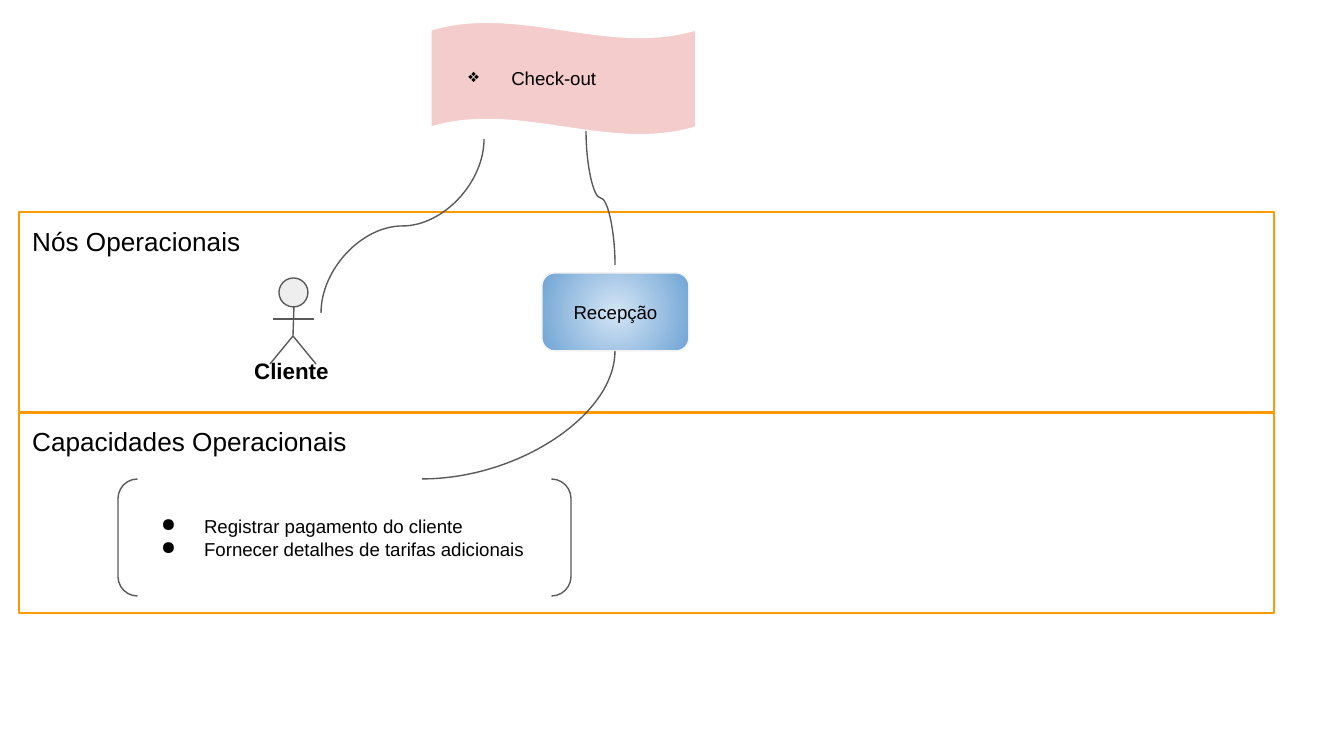
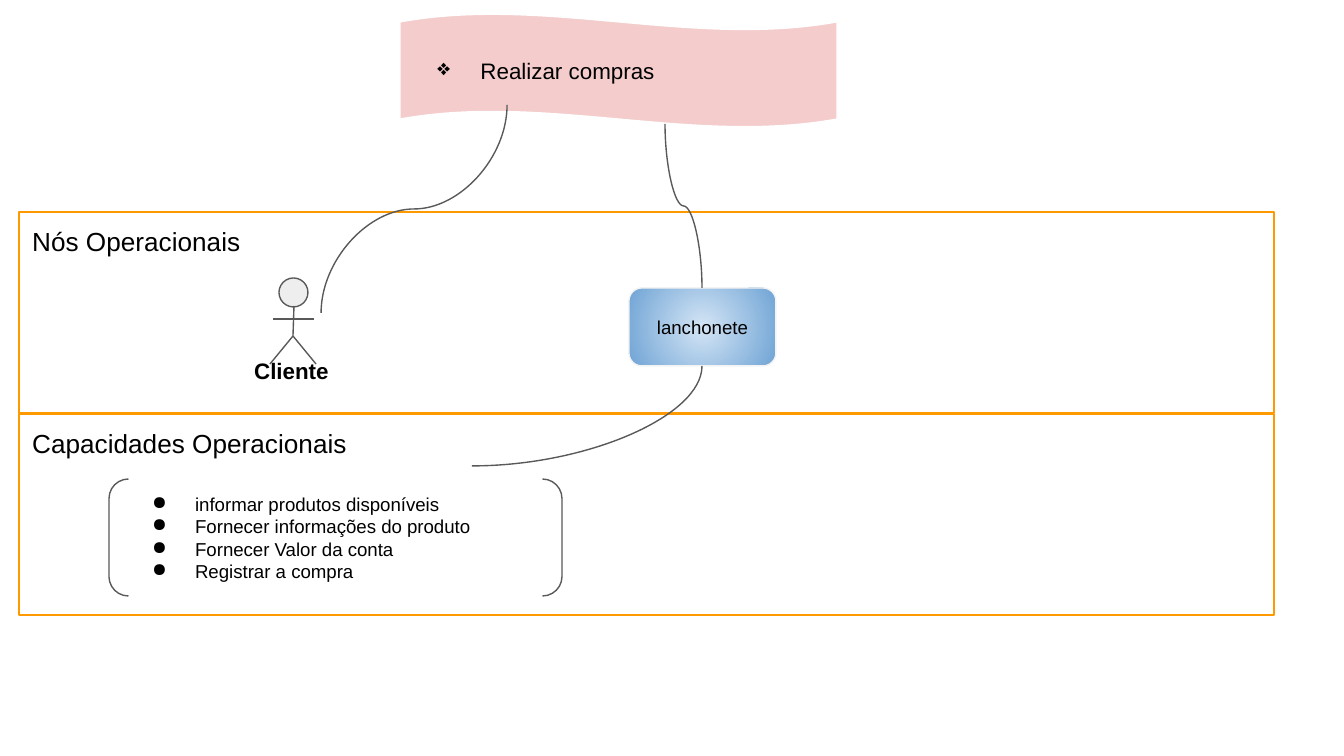
from lxml import etree
from pptx import Presentation, util as u
from pptx.dml.color import RGBColor
from pptx.enum import shapes, text
from pptx.oxml.ns import qn

PX = 914400 / 134.4  # EMU in one pixel
INK, GREY, AMBER, ROSE = "000000", "595959", "FF9900", "F4CCCC"
PALE, WHITE, LIGHT, BLUE = "F3F3F3", "FFFFFF", "D4E5F5", "70A4D5"
KIND, LINK = shapes.MSO_SHAPE, shapes.MSO_CONNECTOR
TOP, MID = text.MSO_ANCHOR.TOP, text.MSO_ANCHOR.MIDDLE
LEFT, MIDDLE = text.PP_ALIGN.LEFT, text.PP_ALIGN.CENTER


def hue(code):
    """Turn a hex string into a colour."""
    return RGBColor.from_string(code)


def write(shape, lines, size=10, bold=False, align=LEFT, anchor=MID, mark=None):
    """Fill a shape with paragraphs, bulleted if a mark is given."""
    frame = shape.text_frame
    frame.word_wrap = True
    frame.vertical_anchor = anchor
    frame.margin_left = frame.margin_right = u.Inches(0.1)
    frame.margin_top = frame.margin_bottom = u.Inches(0.1)
    for i, line in enumerate(lines):
        para = frame.add_paragraph() if i else frame.paragraphs[0]
        para.alignment = align
        run = para.add_run()
        run.text = line
        run.font.name, run.font.size = "Arial", u.Pt(size)
        run.font.bold, run.font.color.rgb = bold, hue(INK)
        if mark:
            props = para._p.get_or_add_pPr()
            props.set("marL", str(u.Inches(0.5)))
            props.set("indent", str(u.Inches(-0.32)))
            tint = etree.SubElement(props, qn("a:buClr"))
            etree.SubElement(tint, qn("a:srgbClr"), val=INK)
            etree.SubElement(props, qn("a:buChar"), char=mark)


# Each curve: start x, start y, end x, end y
pages = [
    dict(task="Check-out", size=10, wave=(431, 22, 265, 113), split=412,
         node="Recepção", box=(542, 273, 147, 78), list=(118, 479, 453, 117),
         skills=["Registrar pagamento do cliente",
                 "Fornecer detalhes de tarifas adicionais"],
         skill=(422, 479, 615, 351), desk=(615, 265, 586, 131),
         client=(321, 313, 484, 139)),
    dict(task="Realizar compras", size=12, wave=(400, 14, 437, 113), split=414,
         node="lanchonete", box=(629, 288, 147, 78), list=(109, 479, 453, 117),
         skills=["informar produtos disponíveis",
                 "Fornecer informações do produto",
                 "Fornecer Valor da conta", "Registrar a compra"],
         skill=(472, 466, 702, 366), desk=(702, 288, 665, 124),
         client=(321, 313, 507, 105)),
]
limbs = [(294, 306, 293, 336), (273, 319, 314, 319),
         (293, 336, 270, 364), (316, 364, 293, 336)]

deck = Presentation()
deck.slide_width, deck.slide_height = round(1344 * PX), round(756 * PX)

for page in pages:
    slide = deck.slides.add_slide(deck.slide_layouts[6])
    man = slide.shapes.add_group_shape()

    # Bands, task, node, skills and the client's head
    parts = {}
    for name, home, kind, at, fill, line in [
        ("nodes", slide, KIND.RECTANGLE, (19, 212, 1255, 201), None, AMBER),
        ("task", slide, KIND.WAVE, page["wave"], ROSE, WHITE),
        ("skills", slide, KIND.RECTANGLE, (19, page["split"], 1255, 201), None, AMBER),
        ("box", slide, KIND.ROUNDED_RECTANGLE, page["box"], LIGHT, PALE),
        ("list", slide, KIND.DOUBLE_BRACKET, page["list"], None, GREY),
        ("head", man, KIND.FLOWCHART_CONNECTOR, (279, 278, 29, 29), "EEEEEE", GREY),
    ]:
        part = home.shapes.add_shape(kind, *[round(v * PX) for v in at])
        part.shadow.inherit = False
        part.line.color.rgb, part.line.width = hue(line), u.Pt(0.75)
        if fill:
            part.fill.solid()
            part.fill.fore_color.rgb = hue(fill)
        else:
            part.fill.background()
        parts[name] = part

    parts["task"].adjustments[0] = 0.07
    parts["task"].adjustments[1] = 0

    # Radial glow of the node
    glow = parts["box"].fill
    glow.gradient()
    for stop, code in zip(glow.gradient_stops, (LIGHT, BLUE)):
        stop.color.rgb = hue(code)
    grad = parts["box"].element.spPr.find(qn("a:gradFill"))
    grad.remove(grad.find(qn("a:lin")))
    ring = etree.SubElement(grad, qn("a:path"), path="circle")
    etree.SubElement(ring, qn("a:fillToRect"), l="50000", t="50000", r="50000", b="50000")

    write(parts["nodes"], ["Nós Operacionais"], size=14, anchor=TOP)
    write(parts["skills"], ["Capacidades Operacionais"], size=14, anchor=TOP)
    write(parts["task"], [page["task"]], size=page["size"], mark="❖")
    write(parts["box"], [page["node"]], align=MIDDLE)
    write(parts["list"], page["skills"], mark="●")
    label = slide.shapes.add_textbox(*[round(v * PX) for v in (216, 344, 151, 51)])
    write(label, ["Cliente"], size=12, bold=True, align=MIDDLE, anchor=TOP)

    # Limbs, then curves: an upright S lies in a frame turned by a quarter
    wires = [man.shapes.add_connector(LINK.STRAIGHT, *[round(v * PX) for v in limb])
             for limb in limbs]
    for name, turn, flips in [("skill", 0, ["flipV"]), ("desk", 270, ["flipV"]),
                              ("client", 90, ["flipH", "flipV"])]:
        x1, y1, x2, y2 = page[name]
        wide, high = abs(x2 - x1), abs(y2 - y1)
        if turn:
            wide, high = high, wide
        left, top = (x1 + x2 - wide) / 2, (y1 + y2 - high) / 2
        ends = left, top, left + wide, top + high
        wire = slide.shapes.add_connector(LINK.CURVE, *[round(v * PX) for v in ends])
        props = wire.element.spPr
        frame = props.find(qn("a:xfrm"))
        for flip in flips:
            frame.set(flip, "1")
        if turn:
            frame.set("rot", str(turn * 60000))
        else:
            props.find(qn("a:prstGeom")).set("prst", "curvedConnector2")
        wires.append(wire)
    for wire in wires:
        wire.line.color.rgb, wire.line.width = hue(GREY), u.Pt(0.75)
        etree.SubElement(wire.element.spPr, qn("a:effectLst"))

deck.save("out.pptx")
